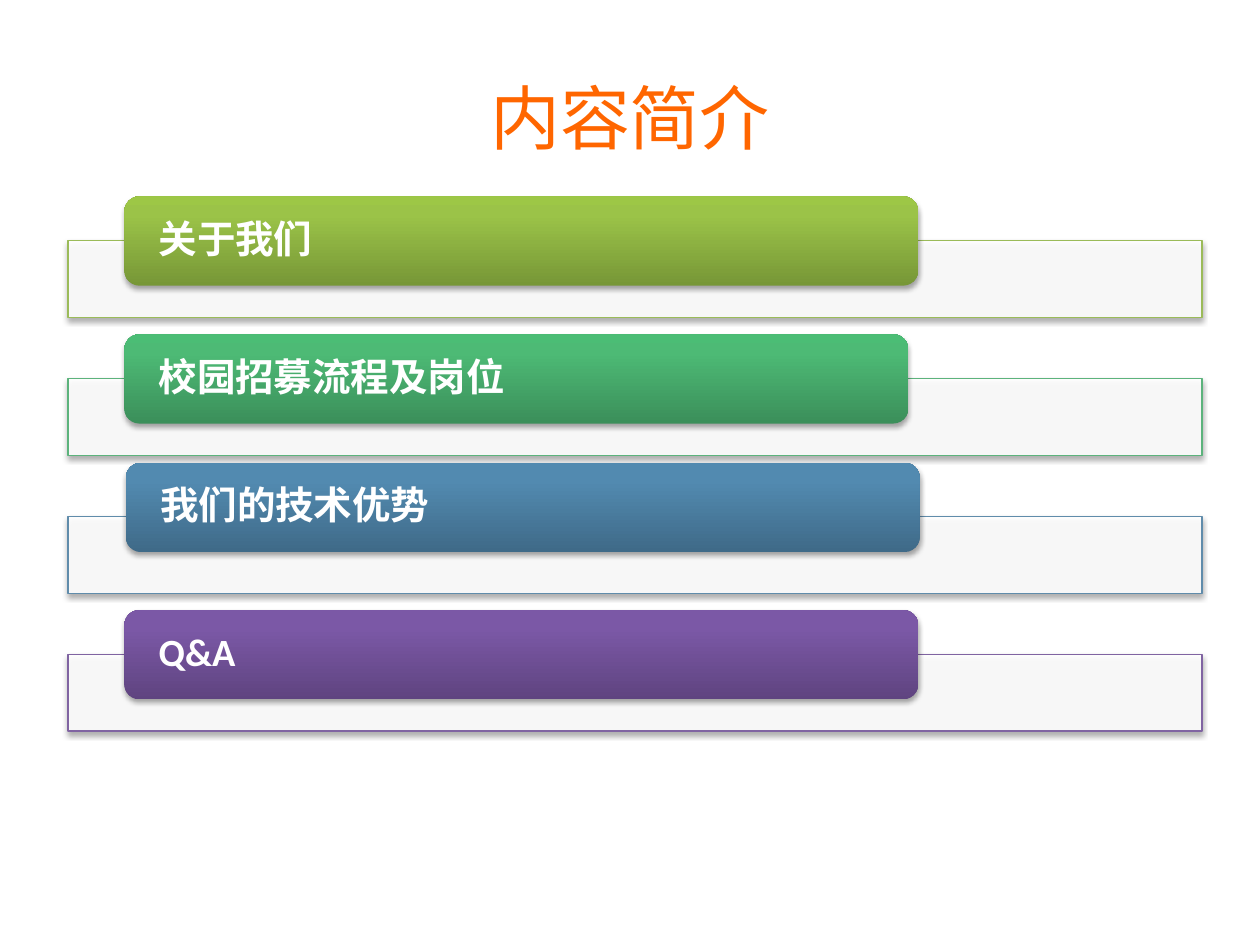
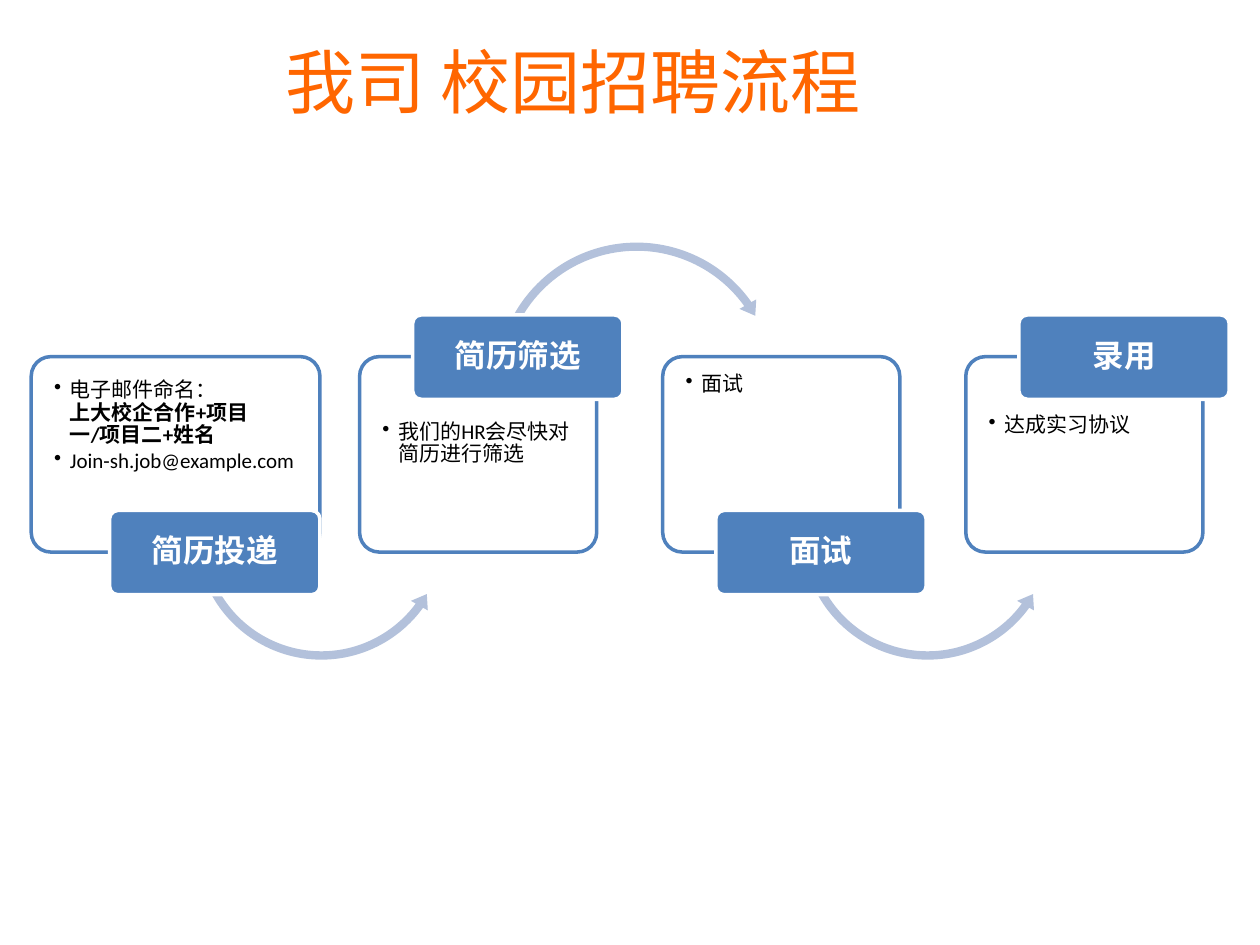
from dataclasses import dataclass

from lxml.etree import SubElement
from pptx import Presentation
from pptx.dml.color import RGBColor
from pptx.enum.shapes import MSO_SHAPE
from pptx.enum.text import MSO_ANCHOR, MSO_AUTO_SIZE, PP_ALIGN
from pptx.oxml import parse_xml
from pptx.oxml.ns import nsdecls, qn
from pptx.util import Cm, Pt


@dataclass(frozen=True)
class Theme:
    title: str = "FF6600"
    white: str = "FFFFFF"
    ink: str = "000000"
    blue: str = "4F81BD"
    arrow: str = "B3C1DB"
    latin: str = "Calibri"
    cjk: str = "Noto Sans CJK SC"
    title_size: int = 40
    bar_size: int = 22
    tag_size: int = 18
    body_size: int = 12


class Deck:
    def __init__(self, theme):
        self.theme = theme
        self.prs = Presentation()
        self.prs.slide_width, self.prs.slide_height = Cm(25.4), Cm(19.05)
        self.s = None

    def slide(self):
        self.s = self.prs.slides.add_slide(self.prs.slide_layouts[5])

    def run(self, p, text, size, color, font, bold=False):
        r = p.add_run()
        r.text = text
        r.font.size, r.font.bold, r.font.name = Pt(size), bold, font
        r.font.color.rgb = RGBColor.from_string(color)
        SubElement(r.font._element, qn("a:ea"), typeface=self.theme.cjk)

    def title(self, text, x, y, w, h, anchor, auto_size):
        sp = self.s.shapes.title
        sp.left, sp.top, sp.width, sp.height = map(Cm, (x, y, w, h))
        tf = sp.text_frame
        tf.word_wrap, tf.vertical_anchor, tf.auto_size = True, anchor, auto_size
        p = tf.paragraphs[0]
        p.alignment = PP_ALIGN.CENTER
        self.run(p, text, self.theme.title_size, self.theme.title, self.theme.cjk)

    def shape(self, kind, x, y, w, h, fill=None, opacity=None, line=None, line_width=2, adj=()):
        sp = self.s.shapes.add_shape(kind, *map(Cm, (x, y, w, h)))
        sp.shadow.inherit = False
        for i, value in enumerate(adj):
            sp.adjustments[i] = value
        if fill:
            sp.fill.solid()
            sp.fill.fore_color.rgb = RGBColor.from_string(fill)
        if opacity:
            clr = sp._element.spPr.find(qn("a:solidFill"))[0]
            SubElement(clr, qn("a:alpha"), val=str(opacity * 1000))
        if line:
            sp.line.color.rgb = RGBColor.from_string(line)
            sp.line.width = Pt(line_width)
        else:
            sp.line.fill.background()
        return sp

    def gradient(self, sp, colors):
        stops = "".join(
            f'<a:gs pos="{pos * 1000}"><a:srgbClr val="{color}"/></a:gs>'
            for pos, color in zip((0, 80, 100), colors)
        )
        sp._element.spPr.find(qn("a:prstGeom")).addnext(parse_xml(
            f'<a:gradFill rotWithShape="1" {nsdecls("a")}><a:gsLst>{stops}</a:gsLst>'
            '<a:lin ang="16200000" scaled="0"/></a:gradFill>'
        ))

    def shadow(self, sp):
        effects = sp._element.spPr.find(qn("a:effectLst"))
        shadow = SubElement(
            effects, qn("a:outerShdw"), blurRad=str(Pt(3.1)), dist=str(Pt(1.8)),
            dir="5400000", rotWithShape="0",
        )
        clr = SubElement(shadow, qn("a:srgbClr"), val=self.theme.ink)
        SubElement(clr, qn("a:alpha"), val="35000")

    def text_frame(self, x, y, w, h, inset_x, inset_y, anchor):
        tf = self.s.shapes.add_textbox(*map(Cm, (x, y, w, h))).text_frame
        tf.word_wrap, tf.vertical_anchor = True, anchor
        tf.margin_left = tf.margin_right = Cm(inset_x)
        tf.margin_top = tf.margin_bottom = Cm(inset_y)
        return tf

    def label(self, text, x, y, w, h, inset_x, inset_y, size, font, align):
        tf = self.text_frame(x, y, w, h, inset_x, inset_y, MSO_ANCHOR.MIDDLE)
        p = tf.paragraphs[0]
        p.alignment, p.line_spacing, p.space_after = align, 0.9, Pt(size * 0.35)
        self.run(p, text, size, self.theme.white, font, True)

    def bullets(self, items, x, y, w, h):
        t = self.theme
        tf = self.text_frame(x, y, w, h, 0.36, 0.36, MSO_ANCHOR.TOP)
        for i, lines in enumerate(items):
            p = tf.paragraphs[0] if i == 0 else tf.add_paragraph()
            p.level, p.line_spacing, p.space_after = 1, 0.9, Pt(t.body_size * 0.15)
            pPr = p._p.get_or_add_pPr()
            pPr.set("marL", str(Cm(0.32)))
            pPr.set("indent", str(-Cm(0.32)))
            SubElement(pPr, qn("a:buChar"), char="•")
            for j, (text, bold) in enumerate(lines):
                if j:
                    p.add_line_break()
                self.run(p, text, t.body_size, t.ink, t.latin, bold)

    def agenda_row(self, y, text, font, line, colors, x, dy, w):
        t = self.theme
        self.shadow(self.shape(MSO_SHAPE.RECTANGLE, 1.37, y, 22.86, 1.55, t.white, 90, line, 0.75))
        bar_y = y - 0.89 + dy
        bar = self.shape(MSO_SHAPE.ROUNDED_RECTANGLE, x, bar_y, w, 1.8)
        self.gradient(bar, colors)
        self.shadow(bar)
        self.label(text, x + 0.08, bar_y + 0.08, w - 0.17, 1.63, 0.61, 0,
                   t.bar_size, font, PP_ALIGN.LEFT)

    def step(self, x, name, items, tag_on_top, card_dx, card_w, has_arrow):
        t = self.theme
        card_x, card_y = x - card_dx, 7.19
        self.shape(MSO_SHAPE.ROUNDED_RECTANGLE, card_x, card_y, card_w, 3.94,
                   t.white, 90, t.blue, adj=[0.1])
        self.bullets(items, card_x + 0.1, 8.13 if tag_on_top else 7.29, card_w - 0.18, 2.92)
        if has_arrow and tag_on_top:
            self.shape(MSO_SHAPE.CIRCULAR_ARROW, x + 1.57, 4.78, 5.89, 5.89, t.arrow,
                       adj=[0.028, 3.469, 194.776, 125.755, 0.033])
        elif has_arrow:
            self.shape(MSO_SHAPE.LEFT_CIRCULAR_ARROW, x + 1.63, 8.13, 5.28, 5.28, t.arrow,
                       adj=[0.032, 3.9, 21.655, 90.245, 0.037])
        tag_y = 6.35 if tag_on_top else 10.29
        self.shape(MSO_SHAPE.ROUNDED_RECTANGLE, x, tag_y, 4.24, 1.7, t.blue,
                   line=t.white, adj=[0.1])
        self.label(name, x + 0.05, tag_y + 0.05, 4.14, 1.6, 0.1, 0.08,
                   t.tag_size, t.cjk, PP_ALIGN.CENTER)


def agenda(deck):
    t = deck.theme
    deck.slide()
    deck.title("内容简介", 1.27, 0.76, 22.86, 3.18, MSO_ANCHOR.MIDDLE, MSO_AUTO_SIZE.NONE)
    rows = [
        ("关于我们", t.cjk, "9BBB59", ("779737", "9BC348", "9DC746"), 2.51, 0, 16),
        ("校园招募流程及岗位", t.cjk, "5CB37C", ("3B8F5A", "4DBA75", "4BBD75"), 2.51, 0, 15.8),
        ("我们的技术优势", t.cjk, "608CAB", ("3F6A88", "528AB0", "518BB3"), 2.54, -0.19, 16),
        ("Q&A", t.latin, "8064A2", ("5F4480", "7B58A6", "7C57A8"), 2.51, 0, 16),
    ]
    for i, row in enumerate(rows):
        deck.agenda_row(4.85 + 2.78 * i, *row)


def process(deck):
    deck.slide()
    deck.title("我司 校园招聘流程", 4.88, 0.64, 13.34, 1.96, MSO_ANCHOR.TOP,
               MSO_AUTO_SIZE.SHAPE_TO_FIT_TEXT)
    steps = [
        ("简历投递", [
            [("电子邮件命名：", False), ("上大校企合作+项目一/项目二+姓名", True)],
            [("Join-sh.job@example.com", False)],
        ]),
        ("简历筛选", [[("我们的HR会尽快对简历进行筛选", False)]]),
        ("面试", [[("面试", False)]]),
        ("录用", [[("达成实习协议", False)]]),
    ]
    for i, (name, items) in enumerate(steps):
        card_dx, card_w = (1.07, 4.78) if i else (1.58, 5.82)
        deck.step(2.21 + 6.11 * i, name, items, i % 2 == 1, card_dx, card_w, i < len(steps) - 1)


def main():
    deck = Deck(Theme())
    agenda(deck)
    process(deck)
    deck.prs.save("out.pptx")


if __name__ == "__main__":
    main()
